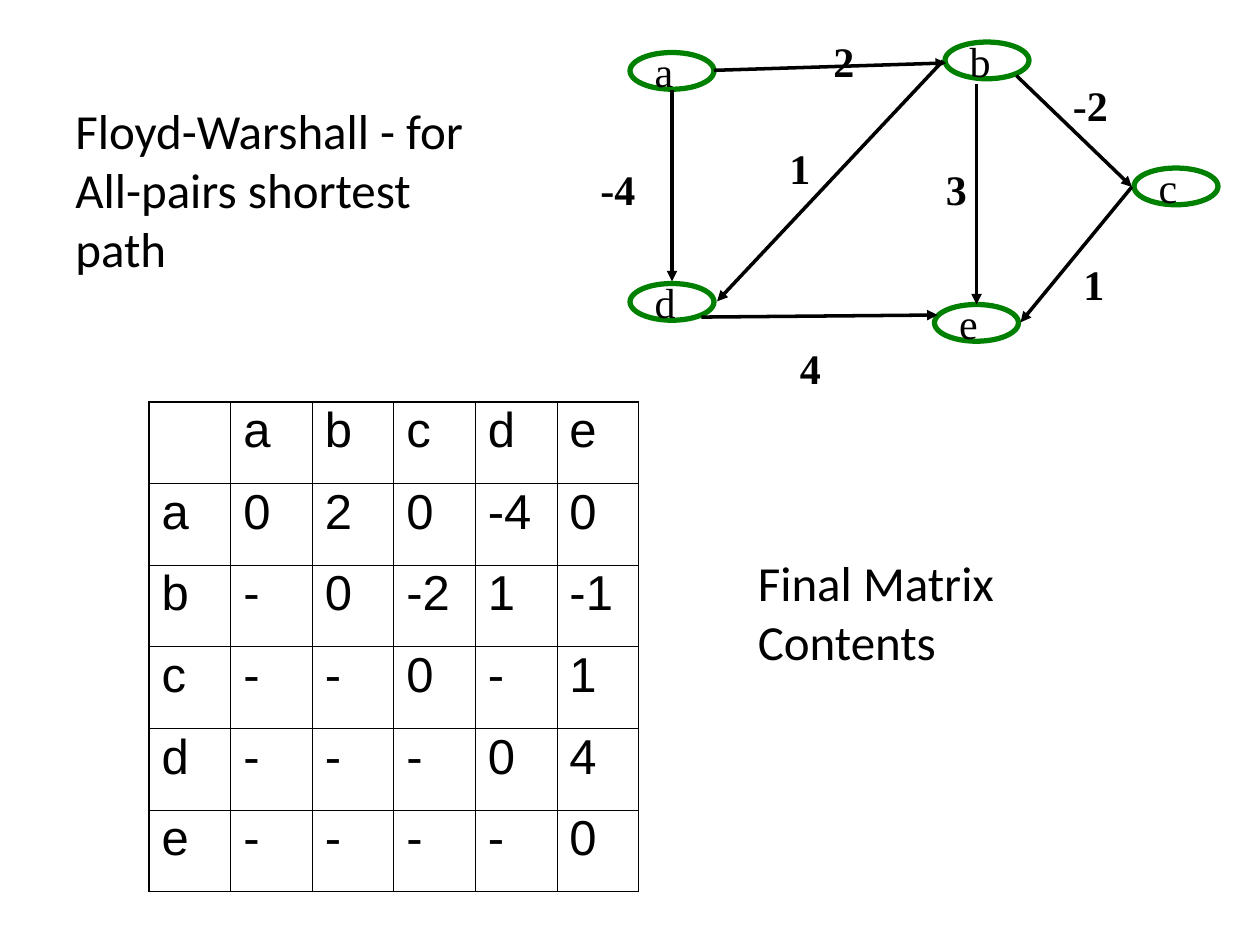
from dataclasses import dataclass

from lxml import etree
from pptx import Presentation
from pptx import util as u
from pptx.dml.color import RGBColor
from pptx.enum import shapes, text
from pptx.oxml.ns import qn


@dataclass(frozen=True)
class Theme:
    ink: RGBColor = RGBColor(0, 0, 0)
    ring: RGBColor = RGBColor(0, 0x80, 0)
    heading_font: str = "Calibri"
    graph_font: str = "Times New Roman"
    matrix_font: str = "Arial"
    large: int = 28
    medium: int = 24
    ring_width: int = 3
    edge_width: int = 2
    frame_width: float = 1.08
    rule_width: float = 0.45


THEME = Theme()
UNIT = u.Inches(1) / 12  # the slide is a grid of 120 columns by 90 rows
NODE_SIZE = (8, 3.5)
NODES = {"a": (60, 5), "b": (90, 4), "c": (108, 16), "d": (60, 27), "e": (89, 29)}

# start and end of each directed edge
EDGES = [
    ((68, 6.7), (90.1, 6)),
    ((96.8, 7.2), (107.8, 17.8)),
    ((107.8, 17.8), (97.2, 30.7)),
    ((64, 8.6), (64, 26.8)),
    ((66.8, 30.2), (89.3, 30)),
    ((93, 8), (93, 29)),
    ((89.8, 5.8), (68.3, 28.7)),
]

# weight, column, row, width
WEIGHTS = [
    ("-4", 56, 15, 7.5),
    ("2", 78.2, 2.8, 4.3),
    ("-2", 101, 7, 9),
    ("1", 102, 24, 4.3),
    ("3", 88.9, 15, 4.3),
    ("1", 74, 13, 4.3),
    ("4", 75, 32, 4.3),
]

MATRIX = [
    ["", "a", "b", "c", "d", "e"],
    ["a", "0", "2", "0", "-4", "0"],
    ["b", "-", "0", "-2", "1", "-1"],
    ["c", "-", "-", "0", "-", "1"],
    ["d", "-", "-", "-", "0", "4"],
    ["e", "-", "-", "-", "-", "0"],
]
MATRIX_CORNER = (14.2, 38.3)
CELL_SIDE = 7.77


def grid(*lengths):
    return [round(length * UNIT) for length in lengths]


def write(frame, words, font, size, bold=False):
    frame.text = words
    paragraph = frame.paragraphs[0]
    paragraph.alignment = text.PP_ALIGN.LEFT
    for run in paragraph.runs:
        run.font.name = font
        run.font.size = u.Pt(size)
        run.font.bold = bold
        run.font.color.rgb = THEME.ink
    return paragraph


def add_words(slide, words, box, font, size, bold=False, wrap=True):
    frame = slide.shapes.add_textbox(*grid(*box)).text_frame
    write(frame, words, font, size, bold)
    frame.word_wrap = wrap
    frame.auto_size = text.MSO_AUTO_SIZE.SHAPE_TO_FIT_TEXT


def add_node(slide, letter, corner):
    node = slide.shapes.add_shape(shapes.MSO_SHAPE.OVAL, *grid(*corner, *NODE_SIZE))
    node.shadow.inherit = False
    node.fill.background()
    node.line.color.rgb = THEME.ring
    node.line.width = u.Pt(THEME.ring_width)
    write(node.text_frame, letter, THEME.graph_font, THEME.medium)
    node.text_frame.word_wrap = False
    node.text_frame.vertical_anchor = text.MSO_ANCHOR.MIDDLE


def add_edge(slide, start, end):
    edge = slide.shapes.add_connector(shapes.MSO_CONNECTOR.STRAIGHT, *grid(*start, *end))
    edge.line.color.rgb = THEME.ink
    edge.line.width = u.Pt(THEME.edge_width)
    etree.SubElement(edge.line._get_or_add_ln(), qn("a:tailEnd"), type="triangle")
    etree.SubElement(edge._element.spPr, qn("a:effectLst"))


def set_borders(cell, outer_sides):
    """Rule all four sides, heavier where the side is on the matrix frame."""
    properties = cell._tc.get_or_add_tcPr()
    for place, side in enumerate("LRTB"):
        width = THEME.frame_width if side in outer_sides else THEME.rule_width
        border = etree.Element(qn(f"a:ln{side}"), w=str(u.Pt(width)))
        fill = etree.SubElement(border, qn("a:solidFill"))
        etree.SubElement(fill, qn("a:srgbClr"), val=str(THEME.ink))
        properties.insert(place, border)


def add_matrix(slide):
    count = len(MATRIX)
    side = count * CELL_SIDE
    matrix = slide.shapes.add_table(count, count, *grid(*MATRIX_CORNER, side, side)).table
    matrix.first_row = matrix.horz_banding = False
    last = count - 1
    for r, values in enumerate(MATRIX):
        for c, value in enumerate(values):
            cell = matrix.cell(r, c)
            cell.fill.background()
            entry = write(cell.text_frame, value, THEME.matrix_font, THEME.large)
            entry.line_spacing = 0.9
            on_frame = {"L": c == 0, "R": c == last, "T": r == 0, "B": r == last}
            set_borders(cell, [edge for edge, outer in on_frame.items() if outer])


def main():
    deck = Presentation()
    deck.slide_width, deck.slide_height = grid(120, 90)
    slide = deck.slides.add_slide(deck.slide_layouts[6])

    add_matrix(slide)
    for letter, corner in NODES.items():
        add_node(slide, letter, corner)
    for start, end in EDGES:
        add_edge(slide, start, end)
    for weight, column, row, width in WEIGHTS:
        add_words(slide, weight, (column, row, width, 6), THEME.graph_font,
                  THEME.medium, bold=True, wrap=len(weight) > 1)

    add_words(slide, "Floyd-Warshall - for All-pairs shortest path",
              (6, 9, 41, 18), THEME.heading_font, THEME.large)
    add_words(slide, "Final Matrix Contents",
              (71, 52, 41, 12.5), THEME.heading_font, THEME.large)
    deck.save("out.pptx")


if __name__ == "__main__":
    main()
